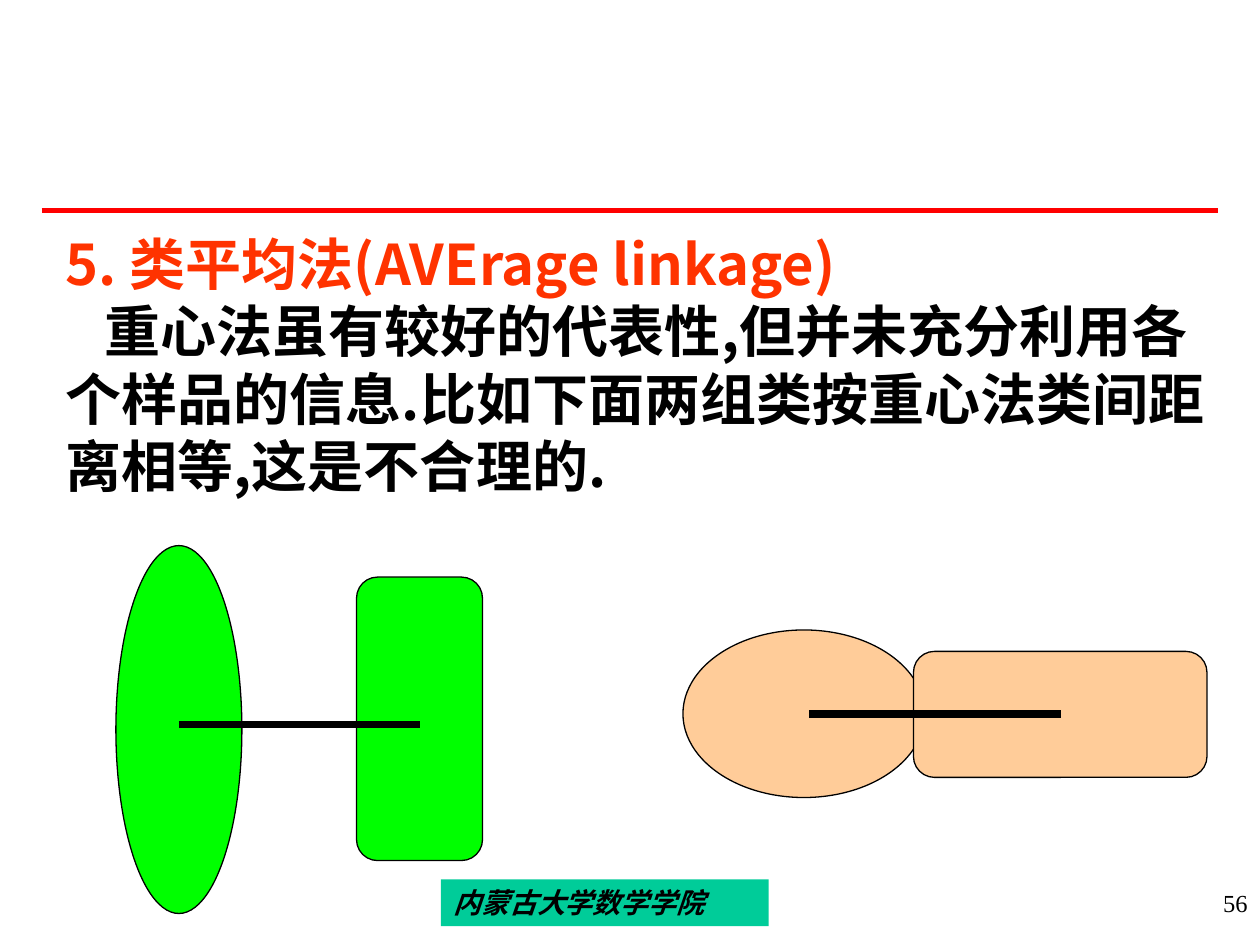
import pptx
import pptx.util
import pptx.dml.color
import pptx.enum.shapes
import pptx.enum.text
import pptx.oxml.ns
from lxml import etree
from pptx.util import Inches

RGBColor = pptx.dml.color.RGBColor
Shape = pptx.enum.shapes.MSO_SHAPE
Align = pptx.enum.text.PP_ALIGN

BLACK = RGBColor(0x00, 0x00, 0x00)
RED = RGBColor(0xFF, 0x00, 0x00)
ORANGE = RGBColor(0xFF, 0x33, 0x00)
TEAL = RGBColor(0x00, 0xCC, 0x99)
GREEN = RGBColor(0x00, 0xFF, 0x00)
PEACH = RGBColor(0xFF, 0xCC, 0x99)
SANS = "Noto Sans CJK SC"
SERIF = "Times New Roman"


def write(para, text, font=SERIF, size=14, color=BLACK, bold=False, italic=False,
          align=Align.LEFT):
    para.alignment = align
    span = para.add_run()
    span.text = text
    span.font.name = font
    span.font.size = pptx.util.Pt(size)
    span.font.color.rgb = color
    span.font.bold = bold
    span.font.italic = italic
    if font == SANS:
        east_asian = etree.SubElement(span.font._element, pptx.oxml.ns.qn("a:ea"))
        east_asian.set("typeface", font)


class Painter:
    """Hold the style and the current slide, and draw elements on it."""

    def __init__(self, page, outline=0.75):
        self.page = page
        self.outline = outline

    def shape(self, kind, left, top, width, height, fill, outlined=True):
        shape = self.page.shapes.add_shape(
            kind, Inches(left), Inches(top), Inches(width), Inches(height))
        shape.shadow.inherit = False
        shape.fill.solid()
        shape.fill.fore_color.rgb = fill
        if outlined:
            shape.line.color.rgb = BLACK
            shape.line.width = pptx.util.Pt(self.outline)
        else:
            shape.line.fill.background()
        return shape

    def line(self, left, right, height, color, weight):
        line = self.page.shapes.add_connector(
            pptx.enum.shapes.MSO_CONNECTOR.STRAIGHT,
            Inches(left), Inches(height), Inches(right), Inches(height))
        line.line.color.rgb = color
        line.line.width = pptx.util.Pt(weight)
        etree.SubElement(line._element.spPr, pptx.oxml.ns.qn("a:effectLst"))

    def label(self, left, top, width, height, text, **style):
        box = self.page.shapes.add_textbox(
            Inches(left), Inches(top), Inches(width), Inches(height))
        box.text_frame.word_wrap = True
        write(box.text_frame.paragraphs[0], text, **style)

    def body(self, left, top, width, height, entries):
        box = self.page.placeholders[1]
        box.left, box.top = Inches(left), Inches(top)
        box.width, box.height = Inches(width), Inches(height)
        frame = box.text_frame
        frame.word_wrap = True
        frame.auto_size = pptx.enum.text.MSO_AUTO_SIZE.NONE
        frame.vertical_anchor = pptx.enum.text.MSO_ANCHOR.TOP
        for index, (text, color, indent) in enumerate(entries):
            para = frame.add_paragraph() if index else frame.paragraphs[0]
            para.space_before = pptx.util.Pt(0)
            para.line_spacing = pptx.util.Pt(38.5)
            properties = para._p.get_or_add_pPr()
            properties.set("marL", "0")
            properties.set("indent", str(Inches(indent)))
            etree.SubElement(properties, pptx.oxml.ns.qn("a:buNone"))
            write(para, text, font=SANS, size=32, color=color, bold=True)


def main():
    deck = pptx.Presentation()
    deck.slide_width, deck.slide_height = Inches(10), Inches(7.5)
    page = deck.slides.add_slide(deck.slide_layouts[1])
    title = page.shapes.title._element
    title.getparent().remove(title)
    painter = Painter(page)

    painter.body(0.42, 1.77, 9.25, 2.24, [
        ("5. 类平均法(AVErage linkage)", ORANGE, 0),
        ("重心法虽有较好的代表性,但并未充分利用各个样品的信息."
         "比如下面两组类按重心法类间距离相等,这是不合理的.", BLACK, 0.31),
    ])
    footer = painter.shape(Shape.RECTANGLE, 3.5, 6.98, 2.6, 0.37, TEAL, outlined=False)
    footer.text_frame.vertical_anchor = pptx.enum.text.MSO_ANCHOR.TOP
    write(footer.text_frame.paragraphs[0], "内蒙古大学数学学院",
          size=16, bold=True, italic=True)
    painter.line(0.33, 9.67, 1.67, RED, 3)

    for kind, left, top, width, height, fill in (
            (Shape.OVAL, 5.42, 5, 1.92, 1.33, PEACH),
            (Shape.ROUNDED_RECTANGLE, 2.83, 4.58, 1, 2.25, GREEN),
            (Shape.OVAL, 0.92, 4.33, 1, 2.92, GREEN),
            (Shape.ROUNDED_RECTANGLE, 7.25, 5.17, 2.33, 1, PEACH)):
        painter.shape(kind, left, top, width, height, fill)
    painter.line(8.42, 6.42, 5.67, BLACK, 4.5)
    painter.line(1.42, 3.33, 5.75, BLACK, 4.5)
    painter.label(7.92, 7, 2.08, 0.5, "56", align=Align.RIGHT)

    deck.save("out.pptx")


if __name__ == "__main__":
    main()
